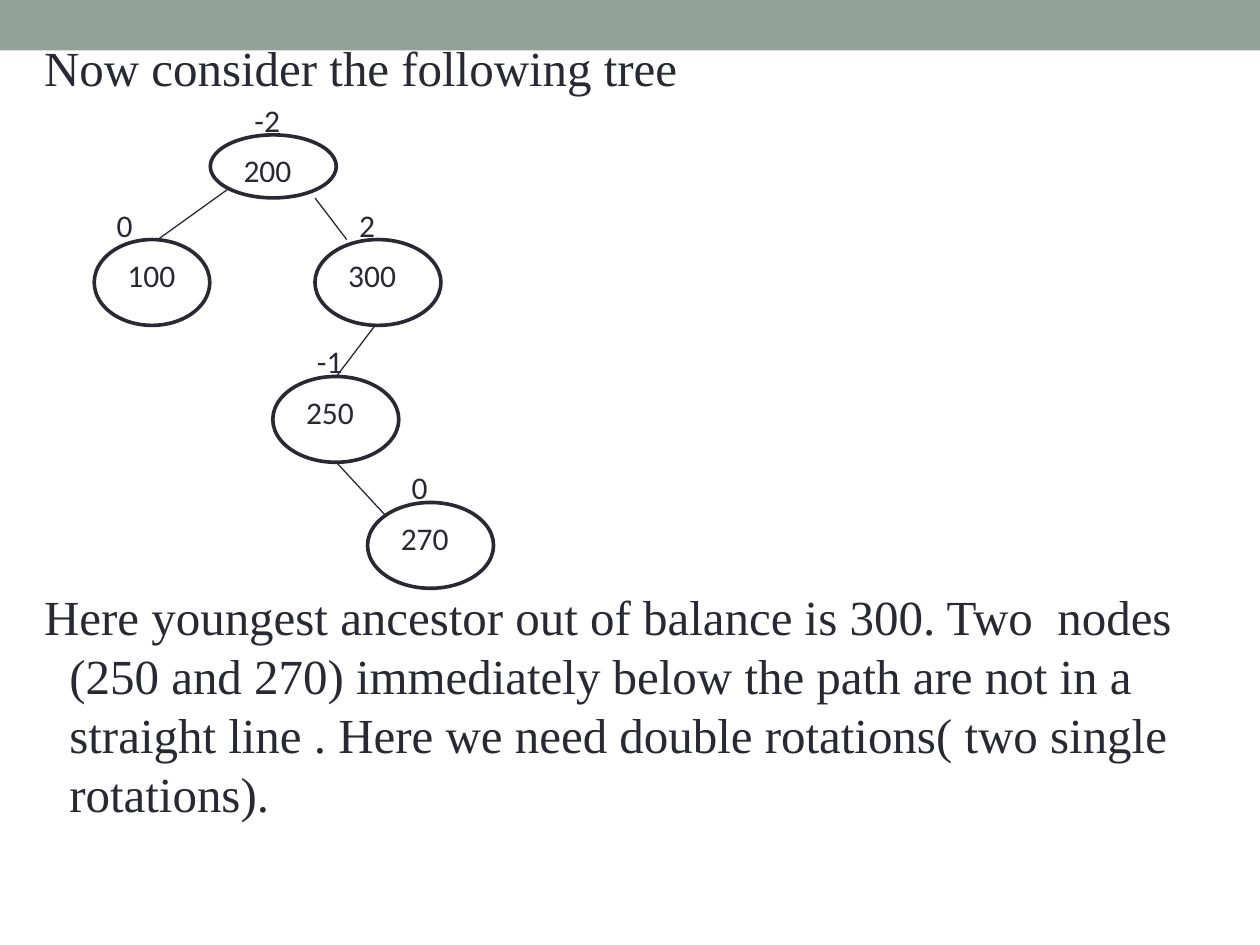
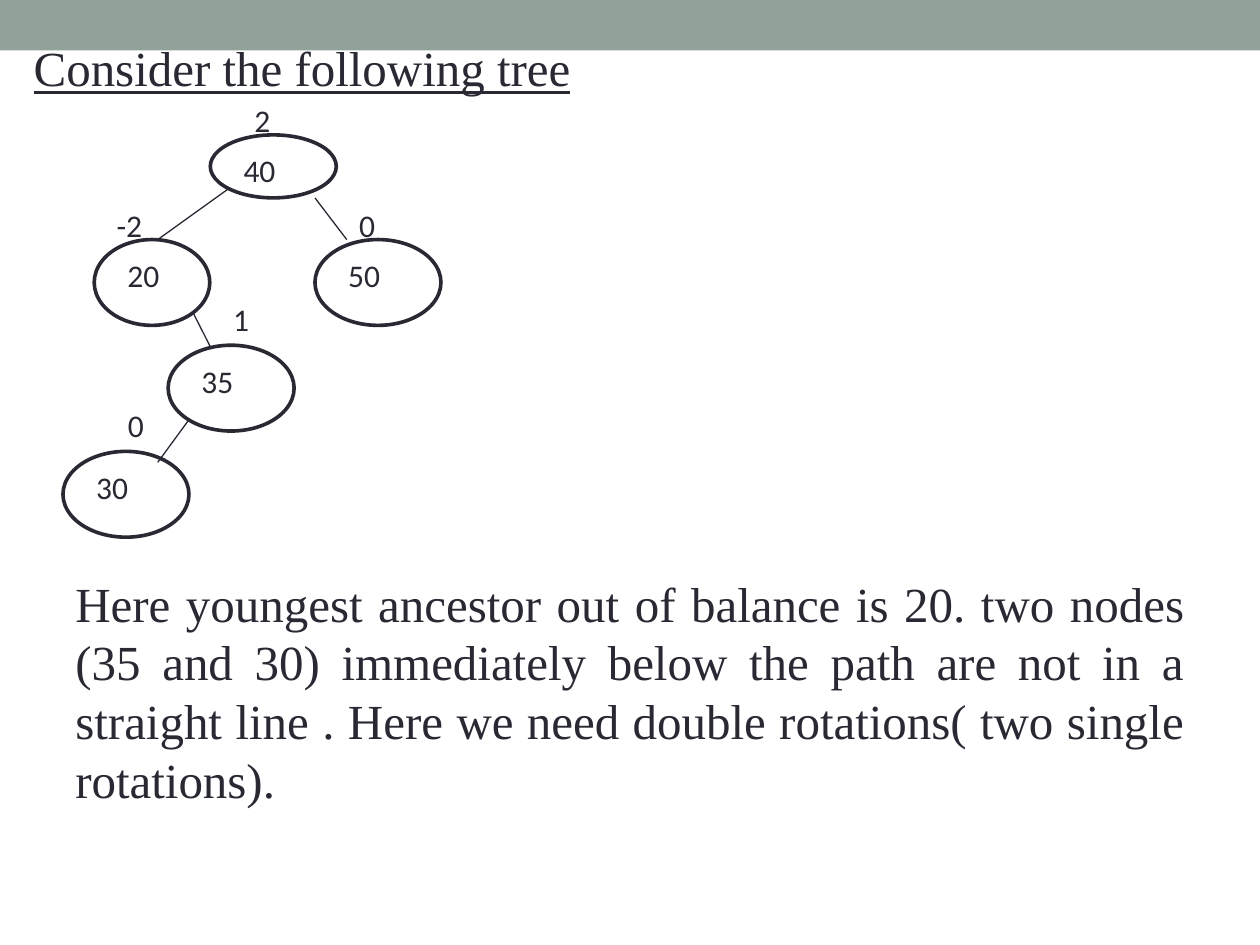
import pptx
import pptx.dml.color
import pptx.enum.shapes
import pptx.enum.text
import pptx.util
from lxml import etree
from pptx.oxml.ns import qn
from pptx.util import Cm, Pt

COLORS = {"band": "93A299", "ink": "292934", "paper": "FFFFFF"}
PROSE = {"font": "Times New Roman", "size": 28}
SLIDE_W, SLIDE_H = 25.4, 19.05
HANGING = 0.51

# Ellipse frames (left, top, width, height) in cm
NODE_W, NODE_H = 2.54, 1.73
ROOT = (4.24, 2.72, NODE_W, 1.27)
LEFT = (1.9, 4.83, 2.33, NODE_H)
RIGHT = (6.35, 4.83, NODE_W, NODE_H)

# Offsets from the corner of a node's frame
VALUE_OFFSET = (0.42, 0.21)
ABOVE = (0.64, -0.81)
ABOVE_LEFT = (0.2, -0.81)
ABOVE_LOWER = (1.06, -1.03)

TOP_EDGES = [(3.18, 4.83, 4.6, 3.81), (6.35, 3.99, 6.99, 4.83)]


def rgb(name):
    return pptx.dml.color.RGBColor.from_string(COLORS[name])


def add_text(slide, text, left, top, width, height, font="Calibri", size=18,
             underline=None, justify=False, hanging=0):
    tf = slide.shapes.add_textbox(Cm(left), Cm(top), Cm(width), Cm(height)).text_frame
    tf.word_wrap = True
    p = tf.paragraphs[0]
    if justify:
        p.alignment = pptx.enum.text.PP_ALIGN.JUSTIFY
    if hanging:
        pPr = p._p.get_or_add_pPr()
        pPr.set("marL", str(Cm(hanging)))
        pPr.set("indent", str(-Cm(hanging)))
    r = p.add_run()
    r.text = text
    r.font.name = font
    r.font.size = Pt(size)
    r.font.underline = underline
    r.font.color.rgb = rgb("ink")


def add_filled(slide, kind, frame, fill, line_width=None):
    sp = slide.shapes.add_shape(kind, *map(Cm, frame))
    sp.shadow.inherit = False
    sp.fill.solid()
    sp.fill.fore_color.rgb = rgb(fill)
    if line_width:
        sp.line.color.rgb = rgb("ink")
        sp.line.width = Pt(line_width)
    else:
        sp.line.fill.background()


def add_node(slide, frame, value, balance, balance_offset=ABOVE):
    """Draw an ellipse with its key inside and its balance factor above."""
    left, top = frame[:2]
    add_filled(slide, pptx.enum.shapes.MSO_SHAPE.OVAL, frame, "paper", 2.08)
    for text, (dx, dy), width in ((value, VALUE_OFFSET, 1.7),
                                  (balance, balance_offset, 1.07)):
        add_text(slide, text, left + dx, top + dy, width, 1.02)


def add_edge(slide, *ends):
    line = slide.shapes.add_connector(
        pptx.enum.shapes.MSO_CONNECTOR.STRAIGHT, *map(Cm, ends))
    line.line.color.rgb = rgb("ink")
    line.line.width = Pt(0.75)
    etree.SubElement(line._element.spPr, qn("a:effectLst"))


def add_tree(slide, nodes, edges):
    for node in nodes:
        add_node(slide, *node)
    for edge in TOP_EDGES + edges:
        add_edge(slide, *edge)


def add_slide(prs, title, left, underline=None):
    slide = prs.slides.add_slide(prs.slide_layouts[6])
    add_filled(slide, pptx.enum.shapes.MSO_SHAPE.RECTANGLE,
               (0, 0, SLIDE_W, 1.02), "band")
    add_text(slide, title, left, 0.64, 24.13, 1.5, underline=underline,
             hanging=HANGING, **PROSE)
    return slide


def main():
    prs = pptx.Presentation()
    prs.slide_width, prs.slide_height = Cm(SLIDE_W), Cm(SLIDE_H)

    slide = add_slide(prs, "Now consider the following tree", 0.64)
    add_tree(slide, [
        (LEFT, "100", "0", ABOVE_LEFT),
        (ROOT, "200", "-2"),
        (RIGHT, "300", "2"),
        ((5.5, 7.59, NODE_W, NODE_H), "250", "-1"),
        ((7.41, 10.13, NODE_W, NODE_H), "270", "0"),
    ], [(6.78, 7.59, 7.57, 6.55), (7.77, 10.39, 6.78, 9.32)])
    add_text(slide, "Here youngest ancestor out of balance is 300. Two  nodes "
             "(250 and 270) immediately below the path are not in a straight line . "
             "Here we need double rotations( two single rotations).",
             0.64, 11.7, 24.13, 5.05, hanging=HANGING, **PROSE)

    slide = add_slide(prs, "Consider the following tree", 0.43, underline=True)
    add_tree(slide, [
        (LEFT, "20", "-2", ABOVE_LEFT),
        (ROOT, "40", "2"),
        (RIGHT, "50", "0"),
        ((3.39, 6.96, NODE_W, NODE_H), "35", "1", ABOVE_LOWER),
        ((1.27, 9.1, NODE_W, NODE_H), "30", "0", ABOVE_LOWER),
    ], [(4.24, 6.99, 3.89, 6.3), (3.18, 9.32, 3.81, 8.46)])
    add_text(slide, "Here youngest ancestor out of balance is 20. two nodes "
             "(35 and 30) immediately below the path are not in a straight line . "
             "Here we need double rotations( two single rotations).",
             1.27, 11.43, 22.86, 5.05, justify=True, **PROSE)

    prs.save("out.pptx")


if __name__ == "__main__":
    main()
